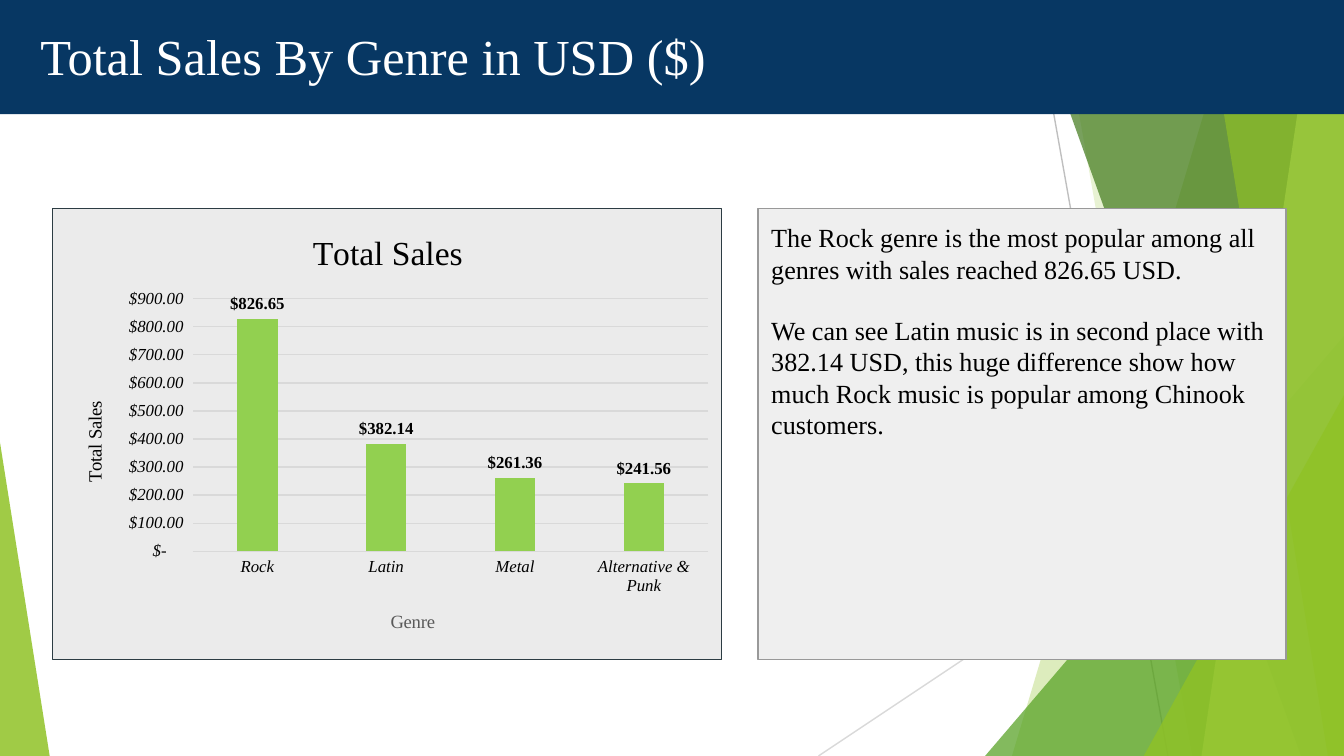
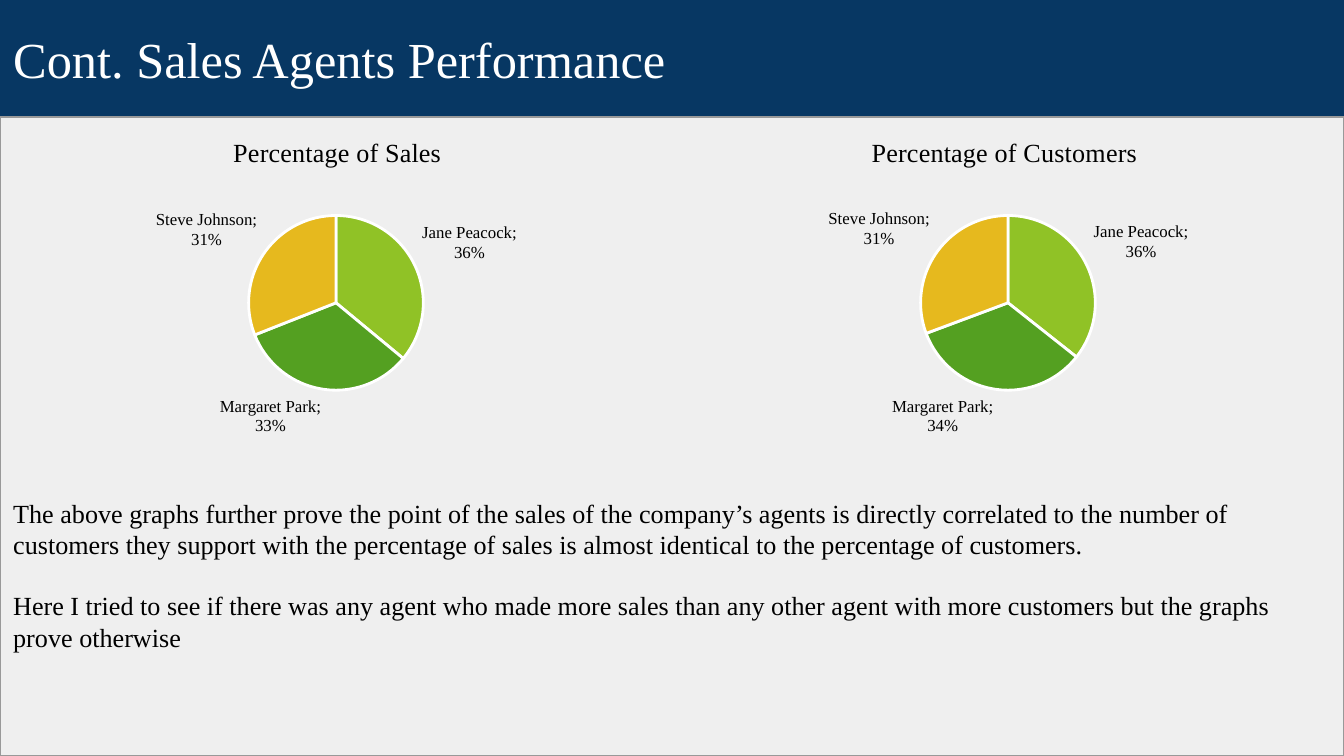
from lxml.etree import SubElement
from pptx import Presentation
from pptx.chart.data import CategoryChartData
from pptx.dml.color import RGBColor
from pptx.enum.chart import XL_CHART_TYPE, XL_LABEL_POSITION, XL_TICK_MARK
from pptx.enum.shapes import MSO_CONNECTOR, MSO_SHAPE
from pptx.enum.text import MSO_ANCHOR, PP_ALIGN
from pptx.oxml.ns import qn
from pptx.util import Inches, Pt

W, H = 10, 5.625
BAND_H = 0.87
FONT = "Times New Roman"

NAVY = RGBColor(0x07, 0x37, 0x63)
WHITE = RGBColor(0xFF, 0xFF, 0xFF)
BLACK = RGBColor(0, 0, 0)
PANEL = RGBColor(0xEF, 0xEF, 0xEF)
PANEL_LINE = RGBColor(0x99, 0x99, 0x99)
CHART_BG = RGBColor(0xEB, 0xEB, 0xEB)
CHART_LINE = RGBColor(0x2C, 0x3C, 0x43)
SILVER = RGBColor(0xBF, 0xBF, 0xBF)
GRID = RGBColor(0xD9, 0xD9, 0xD9)
GREY_TEXT = RGBColor(0x59, 0x59, 0x59)
LIME = RGBColor(0x90, 0xC2, 0x26)
GREEN = RGBColor(0x54, 0xA0, 0x21)
FOREST = RGBColor(0x3F, 0x78, 0x19)
PALE = RGBColor(0xC0, 0xE4, 0x74)
GOLD = RGBColor(0xE6, 0xB9, 0x1E)
BAR = RGBColor(0x92, 0xD0, 0x50)

# Background facets: lines, then (top x, bottom x) of blades that reach the
# right edge, and right triangles, in drawing order.
RAYS = [((7.69, 0), (8.69, H), SILVER), ((W, 3.02), (6.09, H), GRID)]
FACETS = [
    ("blade", (9.21, 7.53), LIME, 30),
    ("blade", (7.88, 8.87), LIME, 20),
    ("right", (7.33, 2.5), GREEN, 72),
    ("blade", (7.66, 9.68), FOREST, 70),
    ("blade", (9.78, 8.94), PALE, 70),
    ("blade", (8.97, 9.88), LIME, 65),
    ("right", (8.51, 2.94), LIME, 80),
    ("left", (0.37, 3.29), LIME, 85),
]

GENRE_TITLE = "Total Sales By Genre in USD ($)"
GENRE_TEXT = [
    "The Rock genre is the most popular among all genres with sales reached "
    "826.65 USD.",
    "We can see Latin music is in second place with 382.14 USD, this huge "
    "difference show how much Rock music is popular among Chinook customers.",
]
GENRE_SALES = {"Rock": 826.65, "Latin": 382.14, "Metal": 261.36,
               "Alternative & Punk": 241.56}
USD = '_("$"* #,##0.00_);_("$"* \\(#,##0.00\\);_("$"* "-"??_);_(@_)'

AGENT_TITLE = "Cont. Sales Agents Performance"
AGENT_TEXT = [
    "The above graphs further prove the point of the sales of the company’s "
    "agents is directly correlated to the number of customers they support "
    "with the percentage of sales is almost identical to the percentage of "
    "customers.",
    "Here I tried to see if there was any agent who made more sales than any "
    "other agent with more customers but the graphs prove otherwise",
]
AGENTS = ["Jane Peacock", "Margaret Park", "Steve Johnson"]
AGENT_COLORS = [LIME, GREEN, GOLD]
# title, title left as a share of the chart width, values
PIES = [
    ("Percentage of Sales", 0.34, [0.36, 0.33, 0.31]),
    ("Percentage of Customers", 0.29, [0.36, 0.34, 0.31]),
]


def style_font(font, size, color=BLACK, bold=False, italic=False):
    """Give a font the deck's face with a size, colour and weight."""
    font.name, font.size = FONT, Pt(size)
    font.bold, font.italic = bold, italic
    font.color.rgb = color


def paint(sp, fill, line=None, alpha=None):
    """Fill a shape, outline it or not, and set its opacity in percent."""
    sp.shadow.inherit = False
    sp.fill.solid()
    sp.fill.fore_color.rgb = fill
    if alpha is not None:
        clr = sp._element.spPr.find(".//" + qn("a:srgbClr"))
        SubElement(clr, qn("a:alpha")).set("val", str(alpha * 1000))
    if line is None:
        sp.line.fill.background()
    else:
        sp.line.color.rgb = line
        sp.line.width = Pt(0.75)


def add_panel(s, box, fill, line=None):
    """Add a plain rectangle."""
    sp = s.shapes.add_shape(MSO_SHAPE.RECTANGLE, *map(Inches, box))
    paint(sp, fill, line)
    return sp


def write(sp, paragraphs, size, color, anchor, left=0.1, top=0.1, after=0):
    """Write left-aligned paragraphs into a shape."""
    tf = sp.text_frame
    tf.word_wrap = True
    tf.vertical_anchor = anchor
    tf.margin_left, tf.margin_top = Inches(left), Inches(top)
    tf.margin_right = tf.margin_bottom = Inches(0.1)
    for i, text in enumerate(paragraphs):
        p = tf.paragraphs[0] if i == 0 else tf.add_paragraph()
        p.alignment = PP_ALIGN.LEFT
        p.space_after = Pt(after)
        r = p.add_run()
        r.text = text
        style_font(r.font, size, color)


def add_title(s, text, top=0, left=0.1):
    """Add the navy title band."""
    sp = add_panel(s, (0, top, W, BAND_H), NAVY)
    write(sp, [text], 27, WHITE, MSO_ANCHOR.MIDDLE, left=left)


def add_body(s, box, paragraphs, top=0.1):
    """Add the grey text panel."""
    sp = add_panel(s, box, PANEL, PANEL_LINE)
    write(sp, paragraphs, 14, BLACK, MSO_ANCHOR.TOP, top=top, after=16)


def add_facets(s):
    """Draw the green facets and hand them to the layout all slides share."""
    for start, end, color in RAYS:
        ln = s.shapes.add_connector(MSO_CONNECTOR.STRAIGHT,
                                    *map(Inches, start + end))
        ln.line.color.rgb = color
        ln.line.width = Pt(0.75)
        SubElement(ln._element.spPr, qn("a:effectLst"))
    for kind, (x, y), color, alpha in FACETS:
        if kind == "blade":
            pts = [(x, 0), (W, 0), (W, H), (y, H)]
            pts = [(Inches(px), Inches(py)) for px, py in pts]
            fb = s.shapes.build_freeform(*pts[0])
            fb.add_line_segments(pts[1:], close=True)
            sp = fb.convert_to_shape()
        else:
            left, width = (x, W - x) if kind == "right" else (0, x)
            sp = s.shapes.add_shape(MSO_SHAPE.ISOSCELES_TRIANGLE,
                                    *map(Inches, (left, y, width, H - y)))
            sp.adjustments[0] = 1 if kind == "right" else 0
        paint(sp, color, alpha=alpha)
    for sp in list(s.shapes):
        s.slide_layout.shapes._spTree.append(sp._element)


def set_layout(parent, index, x, y, w=None, h=None):
    """Place a chart part by shares of the chart's width and height."""
    for old in parent.findall(qn("c:layout")):
        parent.remove(old)
    layout = SubElement(parent, qn("c:layout"))
    parent.insert(index, layout)
    manual = SubElement(layout, qn("c:manualLayout"))
    items = [("xMode", "edge"), ("yMode", "edge"), ("x", x), ("y", y)]
    if w is not None:
        items = [("layoutTarget", "inner")] + items + [("w", w), ("h", h)]
    for tag, val in items:
        SubElement(manual, qn("c:" + tag)).set("val", str(val))


def set_title(title, text, size, x, y, color=BLACK, rot=None):
    """Write and place a chart or axis title."""
    tf = title.text_frame
    if rot is not None:
        tf._bodyPr.set("rot", str(rot * 60000))
        tf._bodyPr.set("vert", "horz")
    r = tf.paragraphs[0].add_run()
    r.text = text
    style_font(r.font, size, color)
    set_layout(title._element, 1, x, y)


def add_chart(s, kind, box, cats, name, vals, number_format, plot_area):
    """Add a one-series chart with value labels on a clear ground."""
    data = CategoryChartData()
    data.categories = cats
    data.add_series(name, vals)
    chart = s.shapes.add_chart(kind, *map(Inches, box), data).chart
    chart.has_legend = False
    style_font(chart.font, 10)
    root = chart._chartSpace
    sppr = SubElement(root, qn("c:spPr"))
    SubElement(sppr, qn("a:noFill"))
    SubElement(SubElement(sppr, qn("a:ln")), qn("a:noFill"))
    root.find(qn("c:chart")).addnext(sppr)
    set_layout(root.find(".//" + qn("c:plotArea")), 0, *plot_area)
    labels = chart.plots[0].series[0].data_labels
    labels.show_value = True
    labels.number_format = number_format
    labels.number_format_is_linked = False
    labels.position = XL_LABEL_POSITION.OUTSIDE_END
    style_font(labels.font, 9, bold=kind != XL_CHART_TYPE.PIE)
    return chart, labels


def add_bar_chart(s, box):
    """Add the sales by genre columns."""
    chart, _ = add_chart(s, XL_CHART_TYPE.COLUMN_CLUSTERED, box,
                         list(GENRE_SALES), "Total Sales",
                         list(GENRE_SALES.values()), USD,
                         (0.21, 0.2, 0.77, 0.56))
    chart.has_title = True
    set_title(chart.chart_title, "Total Sales", 18, 0.38, 0.04)
    plot = chart.plots[0]
    plot.vary_by_categories = False
    plot.gap_width, plot.overlap = 219, -27
    fill = plot.series[0].format.fill
    fill.solid()
    fill.fore_color.rgb = BAR
    cat, val = chart.category_axis, chart.value_axis
    for axis in (cat, val):
        axis.major_tick_mark = axis.minor_tick_mark = XL_TICK_MARK.NONE
        style_font(axis.tick_labels.font, 9, italic=True)
    set_title(cat.axis_title, "Genre", 10, 0.5, 0.88, GREY_TEXT)
    set_title(val.axis_title, "Total Sales", 10, 0.04, 0.42, rot=-90)
    val.minimum_scale, val.maximum_scale, val.major_unit = 0, 900, 100
    val.tick_labels.number_format = USD
    val.tick_labels.number_format_is_linked = False
    val.format.line.fill.background()
    for ln in (cat.format.line, val.major_gridlines.format.line):
        ln.color.rgb = GRID
        ln.width = Pt(0.75)


def add_pie(s, box, title, title_x, vals):
    """Add one pie of the agents' shares."""
    chart, labels = add_chart(s, XL_CHART_TYPE.PIE, box, AGENTS, "Series 1",
                              vals, "0%", (0.37, 0.28, 0.26, 0.53))
    chart.has_title = True
    set_title(chart.chart_title, title, 14, title_x, 0.04)
    labels.show_category_name = True
    labels.show_percentage = False
    sep = SubElement(labels._element, qn("c:separator"))
    sep.text = ";\n"
    labels._element.find(qn("c:showBubbleSize")).addnext(sep)
    for i, color in enumerate(AGENT_COLORS):
        fmt = chart.plots[0].series[0].points[i].format
        fmt.fill.solid()
        fmt.fill.fore_color.rgb = color
        fmt.line.color.rgb = WHITE
        fmt.line.width = Pt(1.5)


def genre_slide(prs):
    """Build the slide of sales by genre."""
    s = prs.slides.add_slide(prs.slide_layouts[6])
    top, height = 1.55, 3.36
    chart_box = (0.39, top, 4.98, height)
    add_facets(s)
    add_title(s, GENRE_TITLE, top=-0.02, left=0.3)
    add_body(s, (5.64, top, 3.93, height), GENRE_TEXT)
    add_panel(s, chart_box, CHART_BG, CHART_LINE)
    add_bar_chart(s, chart_box)


def agent_slide(prs):
    """Build the slide of the agents' shares."""
    s = prs.slides.add_slide(prs.slide_layouts[6])
    add_title(s, AGENT_TITLE)
    add_body(s, (0, BAND_H, W, H - BAND_H), AGENT_TEXT, top=2.83)
    width = W / len(PIES)
    for i, pie in enumerate(PIES):
        add_pie(s, (i * width, BAND_H, width, 2.54), *pie)


prs = Presentation()
prs.slide_width, prs.slide_height = Inches(W), Inches(H)
genre_slide(prs)
agent_slide(prs)
prs.save("out.pptx")
